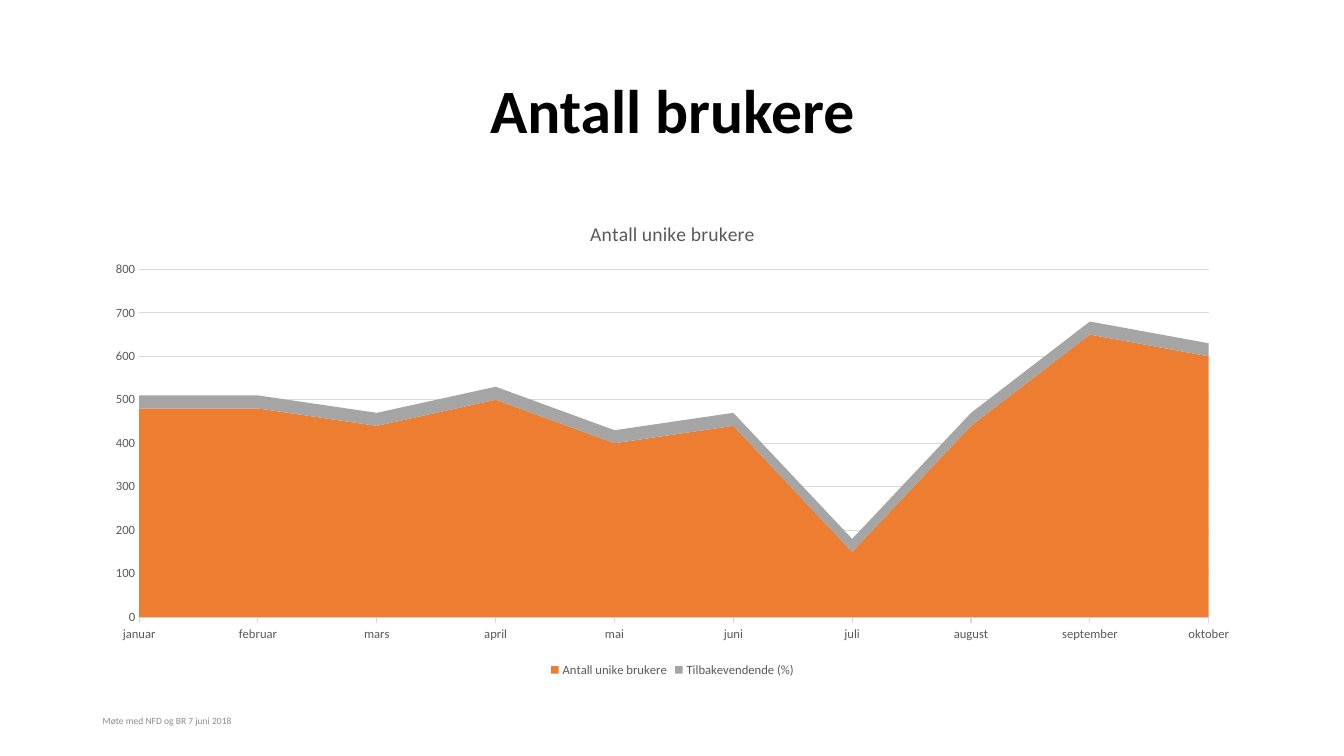
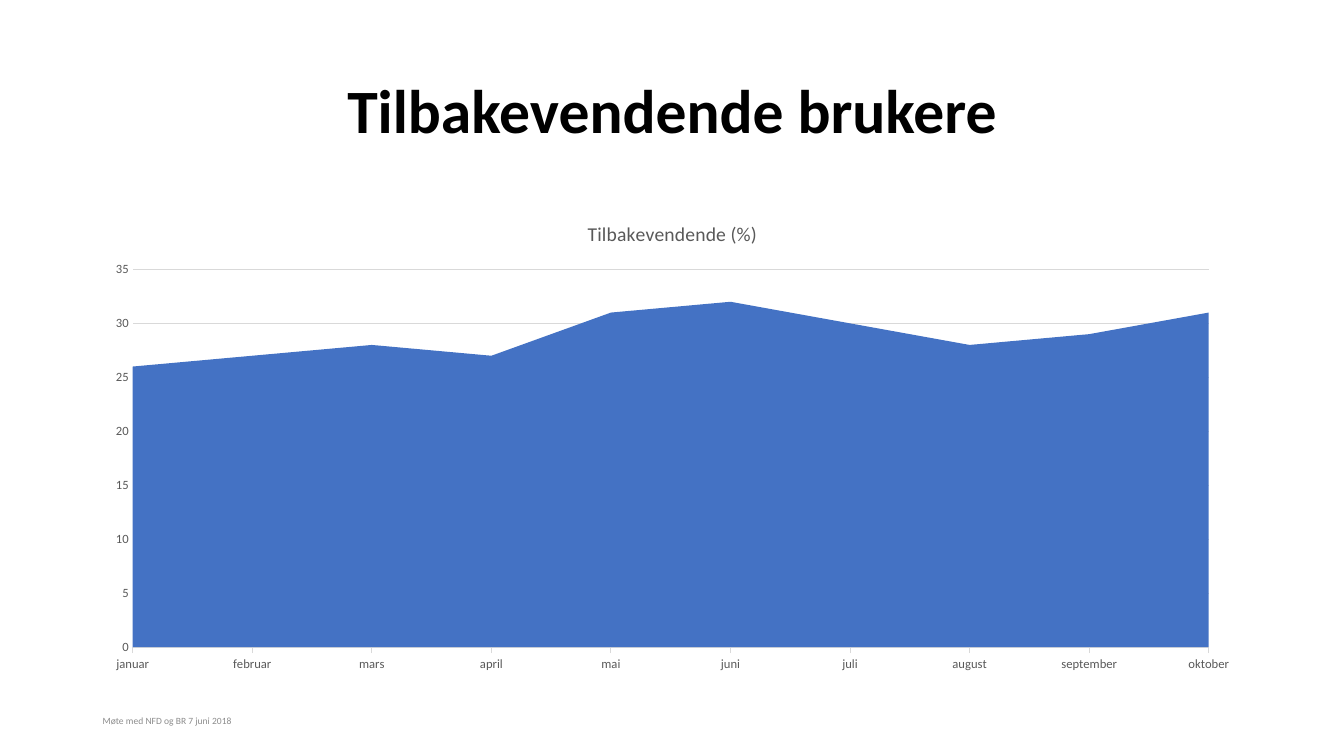
"""Build two slides with area charts of monthly user numbers."""
from dataclasses import dataclass

from pptx import Presentation
from pptx.chart.data import CategoryChartData
from pptx.dml.color import RGBColor
from pptx.enum.chart import XL_CHART_TYPE as ChartType, XL_LEGEND_POSITION as LegendPosition
from pptx.enum.chart import XL_TICK_MARK as TickMark
from pptx.enum.text import MSO_ANCHOR as Anchor, PP_ALIGN as Align
from pptx.util import Inches, Pt


@dataclass(frozen=True)
class Theme:
    font: str = "Calibri"
    title_color: str = "000000"
    footer_color: str = "8C8C8C"
    chart_text: str = "595959"
    grid: str = "D9D9D9"
    orange: str = "ED7D31"
    gray: str = "A5A5A5"
    blue: str = "4472C4"
    title_size: float = 44
    footer_size: float = 6.8
    chart_title_size: float = 14
    label_size: float = 9
    line_width: float = 0.75


THEME = Theme()
MARGIN = 0.92
TITLE_BOX = (MARGIN, 0.4, 11.5, 1.45)
CHART_BOX = (MARGIN, 2, 11.5, 4.76)
FOOTER_BOX = (MARGIN, 6.95, 3, 0.4)
FOOTER = "Møte med NFD og BR 7 juni 2018"
MONTHS = ["januar", "februar", "mars", "april", "mai", "juni", "juli",
          "august", "september", "oktober"]
SLIDES = [
    {
        "title": "Antall brukere",
        "chart_title": "Antall unike brukere",
        "series": [
            ("Antall unike brukere", THEME.orange,
             [480, 480, 440, 500, 400, 440, 150, 440, 650, 600]),
            ("Tilbakevendende (%)", THEME.gray, [30] * len(MONTHS)),
        ],
        "maximum": 800,
        "step": 100,
    },
    {
        "title": "Tilbakevendende brukere",
        "chart_title": "Tilbakevendende (%)",
        "series": [
            ("Tilbakevendende (%)", THEME.blue,
             [26, 27, 28, 27, 31, 32, 30, 28, 29, 31]),
        ],
        "maximum": 35,
        "step": 5,
    },
]


def style_font(font, size, color, bold=False):
    font.name = THEME.font
    font.size = Pt(size)
    font.bold = bold
    font.color.rgb = RGBColor.from_string(color)


def style_line(line):
    line.color.rgb = RGBColor.from_string(THEME.grid)
    line.width = Pt(THEME.line_width)


def add_text(slide, text, box, *, size, color, bold=False, align=Align.LEFT, spacing=1.0):
    frame = slide.shapes.add_textbox(*map(Inches, box)).text_frame
    frame.word_wrap = True
    frame.vertical_anchor = Anchor.MIDDLE
    paragraph = frame.paragraphs[0]
    paragraph.alignment = align
    paragraph.line_spacing = spacing
    run = paragraph.add_run()
    run.text = text
    style_font(run.font, size, color, bold)


def style_axes(chart, maximum, step):
    category_axis, value_axis = chart.category_axis, chart.value_axis
    for axis in (category_axis, value_axis):
        axis.minor_tick_mark = TickMark.NONE
        style_font(axis.tick_labels.font, THEME.label_size, THEME.chart_text)
    category_axis.major_tick_mark = TickMark.OUTSIDE
    style_line(category_axis.format.line)
    value_axis.major_tick_mark = TickMark.NONE
    value_axis.format.line.fill.background()
    value_axis.minimum_scale = 0
    value_axis.maximum_scale = maximum
    value_axis.major_unit = step
    value_axis.has_major_gridlines = True
    style_line(value_axis.major_gridlines.format.line)


def add_area_chart(slide, title, series, maximum, step):
    data = CategoryChartData()
    data.categories = MONTHS
    for name, _, values in series:
        data.add_series(name, values)
    chart = slide.shapes.add_chart(
        ChartType.AREA_STACKED, *map(Inches, CHART_BOX), data).chart
    style_font(chart.font, THEME.label_size, THEME.chart_text)

    chart.has_title = True
    run = chart.chart_title.text_frame.paragraphs[0].add_run()
    run.text = title
    style_font(run.font, THEME.chart_title_size, THEME.chart_text)
    chart.chart_title.include_in_layout = False

    for area, (_, color, _) in zip(chart.plots[0].series, series):
        area.format.fill.solid()
        area.format.fill.fore_color.rgb = RGBColor.from_string(color)
        area.format.line.fill.background()

    chart.has_legend = len(series) > 1
    if chart.has_legend:
        chart.legend.position = LegendPosition.BOTTOM
        chart.legend.include_in_layout = False
        style_font(chart.legend.font, THEME.label_size, THEME.chart_text)
    style_axes(chart, maximum, step)


def main():
    presentation = Presentation()
    presentation.slide_width = Inches(13.33)
    presentation.slide_height = Inches(7.5)
    blank = presentation.slide_layouts[6]
    for content in SLIDES:
        slide = presentation.slides.add_slide(blank)
        add_text(slide, content["title"], TITLE_BOX, size=THEME.title_size,
                 color=THEME.title_color, bold=True, align=Align.CENTER, spacing=0.9)
        add_text(slide, FOOTER, FOOTER_BOX, size=THEME.footer_size,
                 color=THEME.footer_color)
        add_area_chart(slide, content["chart_title"], content["series"],
                       content["maximum"], content["step"])
    presentation.save("out.pptx")


if __name__ == "__main__":
    main()
